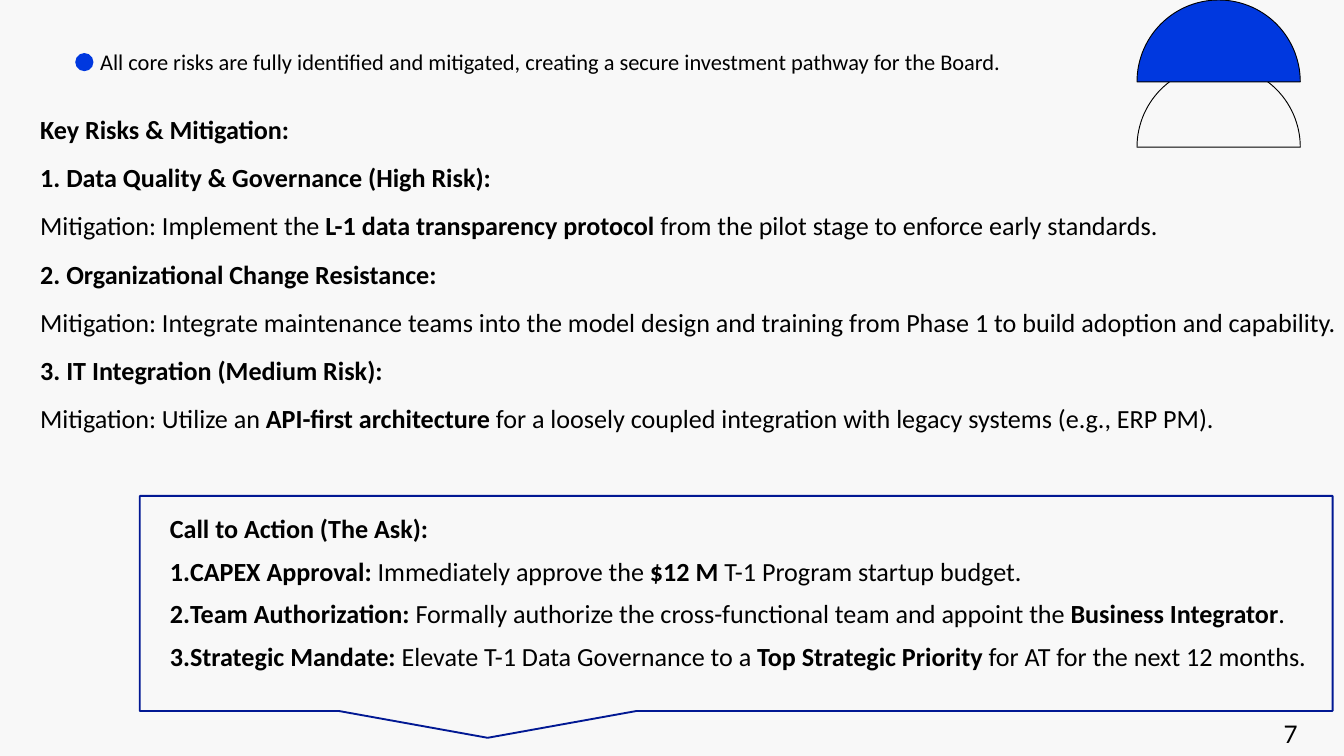
from math import cos, pi, sin

from lxml.etree import SubElement
from pptx import Presentation
from pptx.dml.color import RGBColor
from pptx.enum.shapes import MSO_SHAPE
from pptx.enum.text import MSO_ANCHOR, MSO_AUTO_SIZE, PP_ALIGN
from pptx.oxml.ns import qn
from pptx.util import Inches, Pt

COLORS = {"paper": "F8F8F8", "blue": "0038DF", "navy": "011893", "ink": "000000"}
HEADLINE = ("All core risks are fully identified and mitigated, "
            "creating a secure investment pathway for the Board.")
RISKS = [
    "*Key Risks & Mitigation:*",
    "*1. Data Quality & Governance (High Risk):*",
    "Mitigation: Implement the *L-1 data transparency protocol* from the pilot "
    "stage to enforce early standards.",
    "*2. Organizational Change Resistance:*",
    "Mitigation: Integrate maintenance teams into the model design and training "
    "from Phase 1 to build adoption and capability.",
    "*3. IT Integration (Medium Risk):*",
    "Mitigation: Utilize an *API-first architecture* for a loosely coupled "
    "integration with legacy systems (e.g., ERP PM).",
]
ASK = "*Call to Action (The Ask):*"
ASKS = [
    "*CAPEX Approval:* Immediately approve the *$12 M* T-1 Program startup budget.",
    "*Team Authorization:* Formally authorize the cross-functional team and "
    "appoint the *Business Integrator*.",
    "*Strategic Mandate:* Elevate T-1 Data Governance to a "
    "*Top Strategic Priority* for AT for the next 12 months.",
]


def part(box, x, y, w, h):
    """Return the area given in percent of a box."""
    left, top, width, height = box
    return (round(left + width * x / 100), round(top + height * y / 100),
            round(width * w / 100), round(height * h / 100))


def color(name):
    return RGBColor.from_string(COLORS[name])


def paint(shape, fill=None, line=None, weight=1):
    shape.shadow.inherit = False
    if fill:
        shape.fill.solid()
        shape.fill.fore_color.rgb = color(fill)
    else:
        shape.fill.background()
    if line:
        shape.line.color.rgb = color(line)
        shape.line.width = Pt(weight)
    else:
        shape.line.fill.background()


def write(para, text, size=28, font="Calibri"):
    """Add runs to a paragraph; words between asterisks are bold."""
    for i, words in enumerate(text.split("*")):
        if words:
            run = para.add_run()
            run.text = words
            run.font.name = font
            run.font.size = Pt(size)
            run.font.bold = i % 2 == 1
            run.font.color.rgb = color("ink")


def fill_list(frame, lines, after):
    frame.auto_size = MSO_AUTO_SIZE.SHAPE_TO_FIT_TEXT
    for i, line in enumerate(lines):
        para = frame.add_paragraph() if i else frame.paragraphs[0]
        para.space_before, para.space_after = Pt(6), Pt(after)
        write(para, line)


def set_line(frame, text, size, font, pitch, align):
    """Set one line of text in a frame without margins."""
    frame.margin_left = frame.margin_right = 0
    frame.margin_top = frame.margin_bottom = 0
    frame.vertical_anchor = MSO_ANCHOR.TOP
    frame.word_wrap = True
    frame.auto_size = MSO_AUTO_SIZE.SHAPE_TO_FIT_TEXT
    para = frame.paragraphs[0]
    para.alignment = align
    para.line_spacing = Pt(pitch)
    write(para, text, size, font)


def number(para):
    props = para._p.get_or_add_pPr()
    props.set("marL", "0")
    props.set("indent", "0")
    SubElement(props, qn("a:buFont"), typeface="+mj-lt")
    SubElement(props, qn("a:buAutoNum"), type="arabicPeriod")


def add_headline(slide, box):
    dot = slide.shapes.add_shape(MSO_SHAPE.OVAL, *part(box, 0, 25.6, 1.67, 62.8))
    paint(dot, "blue")
    title = slide.shapes.title
    title.left, title.top, title.width, title.height = part(box, 2.28, 0, 97.72, 100)
    set_line(title.text_frame, HEADLINE, 24, "Calibri", 31.5, PP_ALIGN.JUSTIFY)


def add_dome(slide, box, fill):
    left, top, width, height = box
    arc = [(left + width * (1 - cos(pi * i / 60)) / 2,
            top + height * (1 - sin(pi * i / 60))) for i in range(61)]
    pen = slide.shapes.build_freeform(*arc[0])
    pen.add_line_segments(arc[1:], close=True)
    paint(pen.convert_to_shape(), fill, "ink")


def add_domes(slide, box):
    add_dome(slide, part(box, 0, 44.4, 100, 55.6), "paper")
    add_dome(slide, part(box, 0, 0, 100, 55.6), "blue")


def add_risks(slide, box):
    frame = slide.shapes.add_textbox(*box).text_frame
    frame.word_wrap = False
    fill_list(frame, RISKS, 12)


def add_ask(slide, box):
    text = slide.shapes.add_textbox(*part(box, 1.97, 6.25, 99.1, 95.31))
    frame = text.text_frame
    frame.word_wrap = True
    fill_list(frame, [ASK] + ASKS, 6)
    for para in frame.paragraphs[1:]:
        number(para)
    callout = slide.shapes.add_shape(MSO_SHAPE.RECTANGULAR_CALLOUT, *box)
    paint(callout, line="navy", weight=2)


def add_page(slide, box):
    frame = slide.shapes.add_textbox(*box).text_frame
    set_line(frame, "7", 26, "Lato", 36.4, PP_ALIGN.RIGHT)


def main():
    deck = Presentation()
    deck.slide_width, deck.slide_height = Inches(20), Inches(11.25)
    page = (0, 0, deck.slide_width, deck.slide_height)
    slide = deck.slides.add_slide(deck.slide_layouts[5])
    slide.background.fill.solid()
    slide.background.fill.fore_color.rgb = color("paper")

    add_headline(slide, part(page, 5.6, 6.04, 81.05, 3.82))
    add_domes(slide, part(page, 84.6, 0, 12.15, 19.47))
    add_risks(slide, part(page, 2.5, 14.58, 99.15, 43.64))
    add_ask(slide, part(page, 10.4, 65.6, 88.75, 28.44))
    add_page(slide, part(page, 79.5, 94.49, 17.05, 4.18))
    deck.save("out.pptx")


if __name__ == "__main__":
    main()
